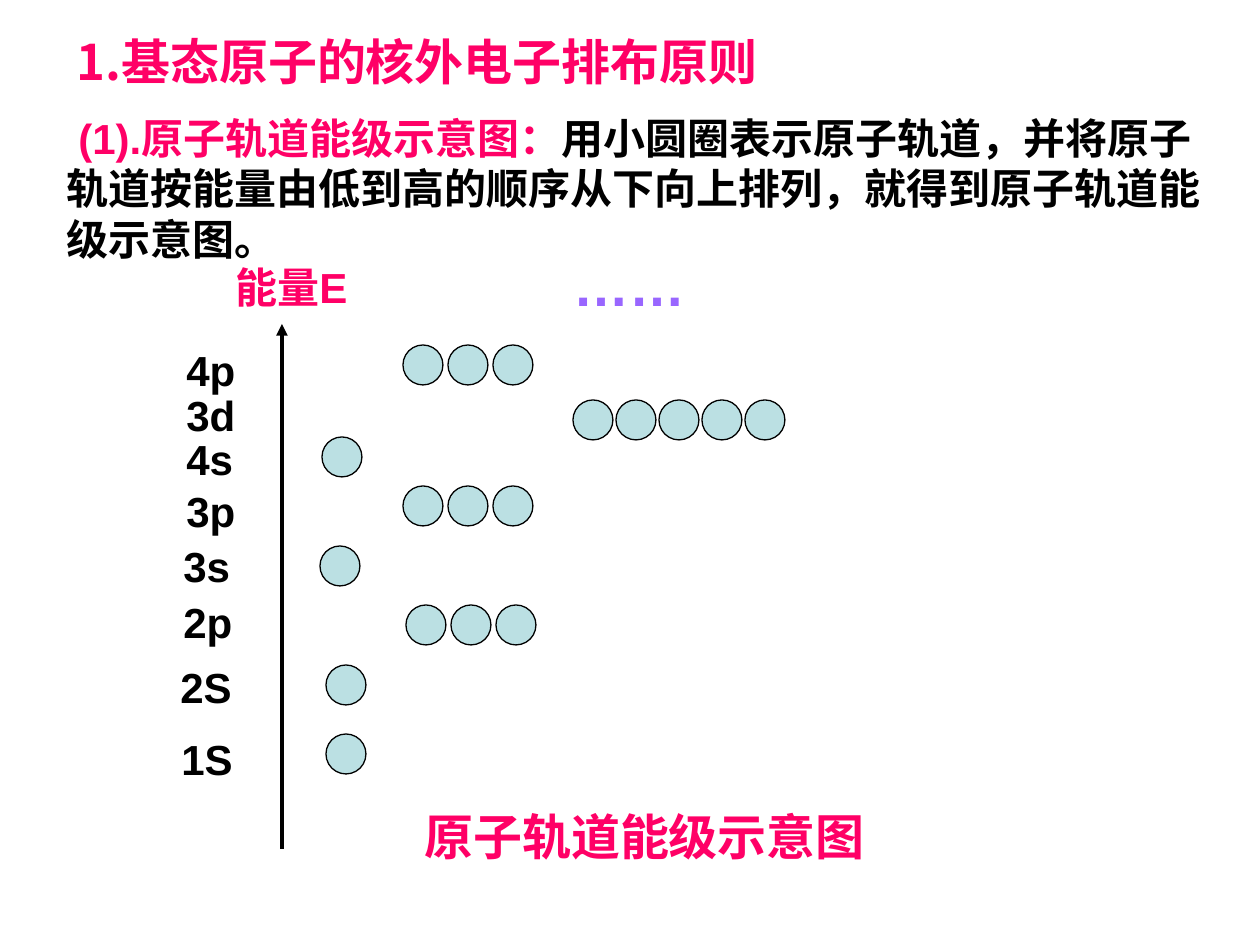
from lxml import etree
from pptx import Presentation
from pptx.dml.color import RGBColor
from pptx.enum.shapes import MSO_CONNECTOR, MSO_SHAPE
from pptx.enum.text import MSO_ANCHOR, MSO_AUTO_SIZE, PP_ALIGN
from pptx.oxml.ns import qn
from pptx.util import Inches, Pt

STRAIGHT = MSO_CONNECTOR.STRAIGHT
OVAL = MSO_SHAPE.OVAL
TOP = MSO_ANCHOR.TOP
NO_AUTOFIT = MSO_AUTO_SIZE.NONE
LEFT = PP_ALIGN.LEFT

PINK = RGBColor(0xFF, 0x00, 0x66)
BLACK = RGBColor(0x00, 0x00, 0x00)
PURPLE = RGBColor(0x99, 0x66, 0xFF)
PALE_BLUE = RGBColor(0xBB, 0xE0, 0xE3)

ARIAL = "Arial"
CJK = "Noto Sans CJK SC"
PX = Inches(1) / 126
ORBITAL_SIZE = 40

# subshell: number of orbitals, distance between their left edges
SUBSHELLS = {"s": (1, 0), "p": (3, 45), "d": (5, 43)}

# label, label left, label top, first orbital left, orbital top
LEVELS = [
    ("1S", 169, 727, 326, 734),
    ("2S", 168, 655, 326, 665),
    ("2p", 171, 590, 406, 605),
    ("3p", 174, 479, 403, 486),
    ("3s", 171, 534, 320, 546),
    ("3d", 174, 383, 573, 400),
    ("4s", 174, 427, 322, 437),
    ("4p", 174, 338, 403, 345),
]


def px(*lengths):
    return [round(n * PX) for n in lengths]


class SlideBuilder:
    def __init__(self, slide):
        self.slide = slide
        self.shapes = slide.shapes

    def set_text(self, s, runs, size, latin=ARIAL, ea=CJK):
        """Fill a shape with one bold paragraph of (text, colour) runs."""
        tf = s.text_frame
        tf.word_wrap = True
        tf.auto_size = NO_AUTOFIT
        tf.vertical_anchor = TOP
        p = tf.paragraphs[0]
        p.alignment = LEFT
        p.space_before = Pt(0)
        for text, color in runs:
            r = p.add_run()
            r.text = text
            r.font.name = latin
            r.font.size = Pt(size)
            r.font.bold = True
            r.font.color.rgb = color
            rPr = r._r.get_or_add_rPr()
            rPr.find(qn("a:latin")).addnext(
                rPr.makeelement(qn("a:ea"), {"typeface": ea}))
        return p

    def placeholder(self, idx, box, runs, size, latin=ARIAL):
        s = self.slide.placeholders[idx]
        s.left, s.top, s.width, s.height = px(*box)
        p = self.set_text(s, runs, size, latin)
        pPr = p._p.get_or_add_pPr()
        pPr.set("marL", "0")
        pPr.set("indent", "0")
        etree.SubElement(pPr, qn("a:buNone"))

    def label(self, box, text, color, size=24, ea=CJK, shapes=None):
        s = (shapes or self.shapes).add_textbox(*px(*box))
        self.set_text(s, [(text, color)], size, ea=ea)

    def orbital(self, left, top, shapes):
        s = shapes.add_shape(OVAL, *px(left, top, ORBITAL_SIZE, ORBITAL_SIZE))
        s.shadow.inherit = False
        s.fill.solid()
        s.fill.fore_color.rgb = PALE_BLUE
        s.line.color.rgb = BLACK
        s.line.width = Pt(0.75)

    def level(self, name, label_left, label_top, left, top):
        """Group an energy level's label with its row of orbitals."""
        shapes = self.shapes.add_group_shape().shapes
        count, pitch = SUBSHELLS[name[-1].lower()]
        for i in range(count):
            self.orbital(left + i * pitch, top, shapes)
        self.label((label_left, label_top, 90, 63), name, BLACK, shapes=shapes)

    def arrow(self, x1, y1, x2, y2):
        s = self.shapes.add_connector(STRAIGHT, *px(x1, y1, x2, y2))
        s.line.color.rgb = BLACK
        s.line.width = Pt(2.25)
        spPr = s._element.spPr
        etree.SubElement(spPr.find(qn("a:ln")), qn("a:tailEnd"), type="triangle")
        etree.SubElement(spPr, qn("a:effectLst"))


def main():
    prs = Presentation()
    prs.slide_width, prs.slide_height = Inches(10), Inches(7.5)
    b = SlideBuilder(prs.slides.add_slide(prs.slide_layouts[1]))

    b.placeholder(0, (64, 25, 753, 72),
                  [("1.基态原子的核外电子排布原则", PINK)], 28, CJK)
    b.placeholder(1, (54, 106, 1160, 164), [
        (" (1).原子轨道能级示意图：", PINK),
        ("用小圆圈表示原子轨道，并将原子轨道按能量由低到高的顺序从下向上排列，"
         "就得到原子轨道能级示意图。", BLACK),
    ], 24)

    b.arrow(282, 849, 282, 324)
    for level in LEVELS:
        b.level(*level)

    b.label((223, 255, 159, 63), "能量E", PINK)
    b.label((561, 244, 198, 81), "……", PURPLE, 32, ea=ARIAL)
    b.label((412, 800, 486, 72), "原子轨道能级示意图", PINK, 28)
    prs.save("out.pptx")


if __name__ == "__main__":
    main()
